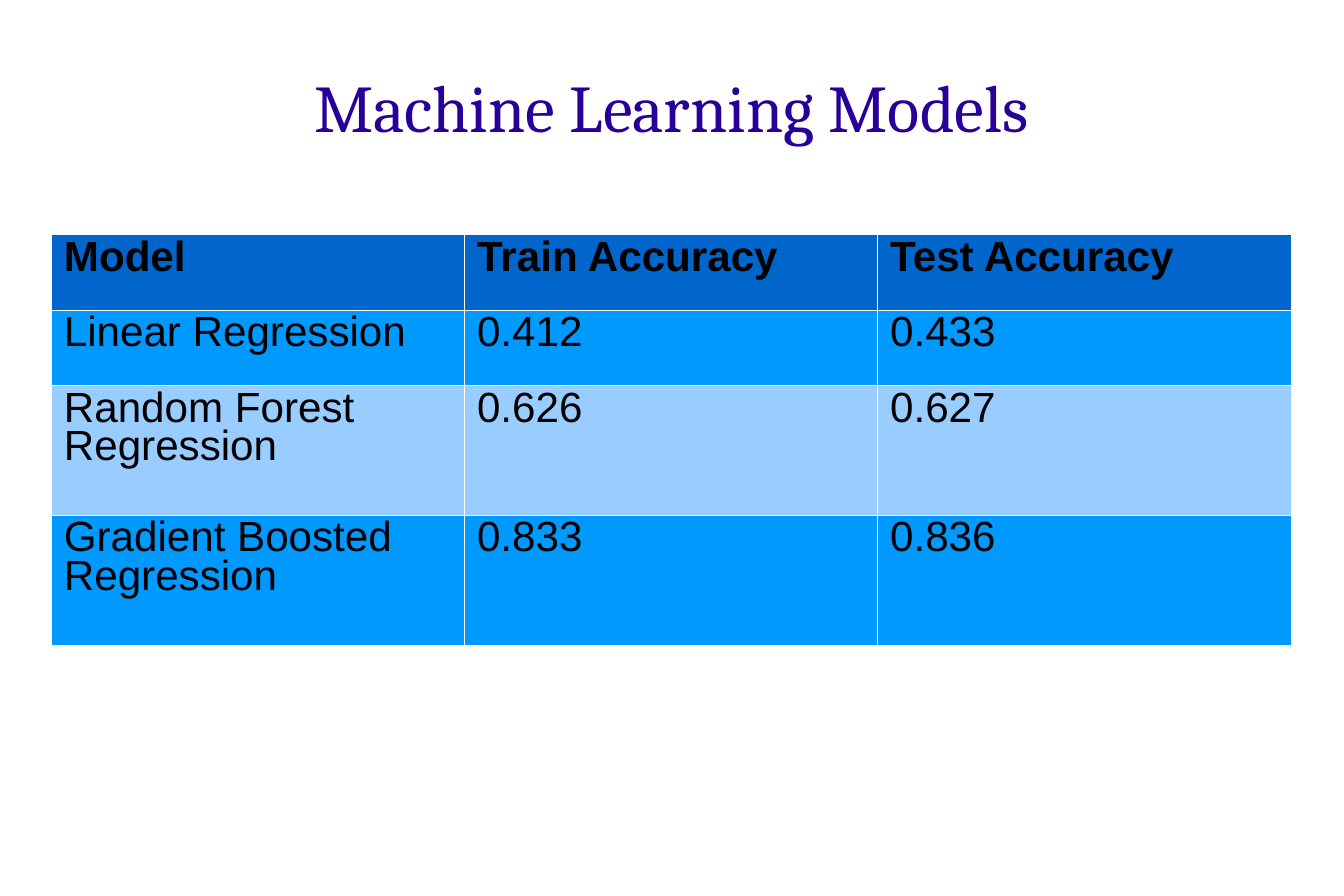
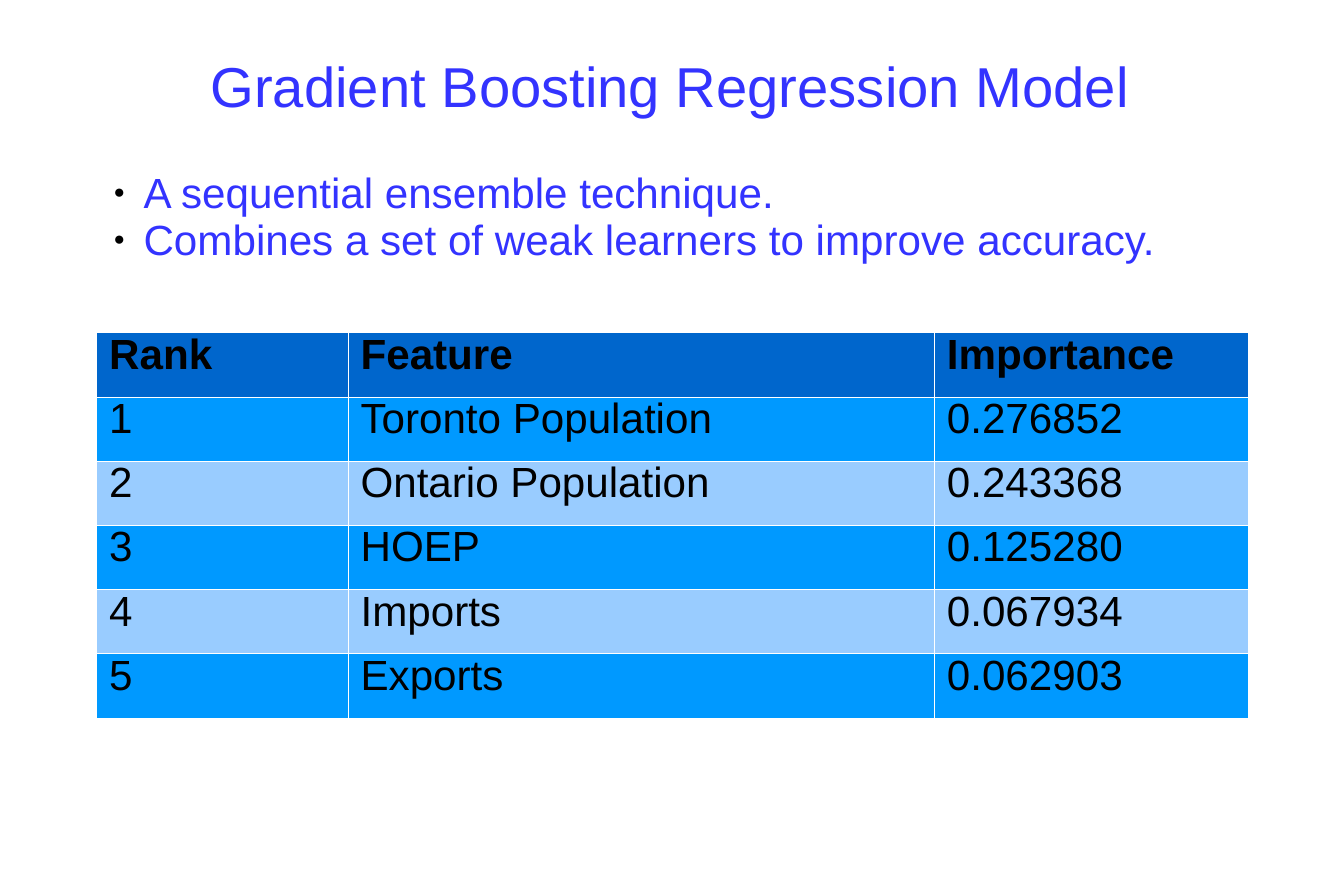
from lxml import etree
from pptx import Presentation
from pptx.dml.color import RGBColor
from pptx.enum.text import MSO_ANCHOR, MSO_AUTO_SIZE, PP_ALIGN
from pptx.oxml.ns import qn
from pptx.util import Cm, Pt

TOP, MIDDLE = MSO_ANCHOR.TOP, MSO_ANCHOR.MIDDLE
CENTER, LEFT = PP_ALIGN.CENTER, PP_ALIGN.LEFT
NO_AUTOFIT = MSO_AUTO_SIZE.NONE

TITLE_AND_CONTENT, TITLE_ONLY = 1, 5
COLORS = {
    "indigo": "280099",
    "blue": "3333FF",
    "black": "000000",
    "border": "FFFFFF",
    "header": "0066CC",
    "odd_row": "0099FF",
    "even_row": "99CCFF",
}
BORDER_WIDTH = Pt(0.06)
BULLET_INDENT = Cm(0.6)


def rgb(name):
    return RGBColor.from_string(COLORS[name])


def add_child(parent, tag, **attributes):
    return etree.SubElement(parent, qn(tag), attributes)


class Deck:
    """Holds the shared style and the slide being filled."""

    def __init__(self):
        self.presentation = Presentation()
        self.presentation.slide_width = Cm(27)
        self.presentation.slide_height = Cm(18)
        self.slide = None

    def add_slide(self, layout):
        layouts = self.presentation.slide_layouts
        self.slide = self.presentation.slides.add_slide(layouts[layout])

    def style(self, paragraph, size, color, font="Arial", bold=False,
              align=LEFT, spacing=0.93):
        paragraph.alignment = align
        paragraph.line_spacing = spacing
        paragraph.space_before = Pt(0)
        paragraph.font.name = font
        paragraph.font.size = Pt(size)
        paragraph.font.bold = bold
        paragraph.font.color.rgb = rgb(color)

    def place(self, placeholder, box, anchor=TOP):
        """Move a placeholder to box (left, top, width, height in cm)."""
        (placeholder.left, placeholder.top,
         placeholder.width, placeholder.height) = map(Cm, box)
        frame = placeholder.text_frame
        frame.auto_size = NO_AUTOFIT
        frame.vertical_anchor = anchor
        return frame

    def title(self, text, box, size, color, font="Arial", anchor=TOP):
        frame = self.place(self.slide.shapes.title, box, anchor)
        frame.text = text
        self.style(frame.paragraphs[0], size, color, font, align=CENTER)

    def bullets(self, items, box):
        frame = self.place(self.slide.placeholders[1], box)
        frame.text = "\n".join(items)
        for paragraph in frame.paragraphs:
            self.style(paragraph, 24, "blue")
            properties = paragraph._p.get_or_add_pPr()
            properties.set("marL", str(BULLET_INDENT))
            properties.set("indent", str(-BULLET_INDENT))
            color = add_child(properties, "a:buClr")
            add_child(color, "a:srgbClr", val=COLORS["black"])
            add_child(properties, "a:buSzPct", val="45000")
            add_child(properties, "a:buChar", char="●")
            # The schema wants the bullet ahead of the run defaults.
            properties.append(properties.find(qn("a:defRPr")))

    def border(self, cell):
        properties = cell._tc.get_or_add_tcPr()
        for side in ("a:lnL", "a:lnR", "a:lnT", "a:lnB"):
            line = add_child(properties, side, w=str(BORDER_WIDTH))
            fill = add_child(line, "a:solidFill")
            add_child(fill, "a:srgbClr", val=COLORS["border"])

    def table(self, rows, left, top, widths, heights):
        """Add a table with a bold header and banded rows (lengths in cm)."""
        table = self.slide.shapes.add_table(
            len(rows), len(widths), Cm(left), Cm(top),
            Cm(sum(widths)), Cm(sum(heights))).table
        for column, width in zip(table.columns, widths):
            column.width = Cm(width)
        for index, (row, values) in enumerate(zip(table.rows, rows)):
            row.height = Cm(heights[index])
            is_header = index == 0
            band = "odd_row" if index % 2 else "even_row"
            for cell, value in zip(row.cells, values):
                cell.text = value
                self.style(cell.text_frame.paragraphs[0], 24, "black",
                           bold=is_header, spacing=0.81)
                self.border(cell)
                cell.fill.solid()
                cell.fill.fore_color.rgb = rgb("header" if is_header else band)


def models_slide(deck):
    deck.add_slide(TITLE_ONLY)
    deck.title("Machine Learning Models", (1.35, 0.71, 24.28, 3), 38,
               "indigo", "Cambria", MIDDLE)
    accuracies = [
        ("Model", "Train Accuracy", "Test Accuracy"),
        ("Linear Regression", "0.412", "0.433"),
        ("Random Forest Regression", "0.626", "0.627"),
        ("Gradient Boosted Regression", "0.833", "0.836"),
    ]
    deck.table(accuracies, 1.03, 4.71, [8.3] * 3, [1.52, 1.51, 2.61, 2.61])


def boosting_slide(deck):
    deck.add_slide(TITLE_AND_CONTENT)
    deck.title("Gradient Boosting Regression Model", (2.3, 1.02, 22.33, 2.77),
               32, "blue")
    deck.bullets(["A sequential ensemble technique.",
                  "Combines a set of weak learners to improve accuracy."],
                 (2.03, 3.3, 23.11, 2.13))
    importances = [
        ("Rank", "Feature", "Importance"),
        ("1", "Toronto Population", "0.276852"),
        ("2", "Ontario Population", "0.243368"),
        ("3", "HOEP", "0.125280"),
        ("4", "Imports", "0.067934"),
        ("5", "Exports", "0.062903"),
    ]
    deck.table(importances, 1.94, 6.68, [5.05, 11.78, 6.3],
               [1.29] * len(importances))


def main():
    deck = Deck()
    models_slide(deck)
    boosting_slide(deck)
    deck.presentation.save("out.pptx")


if __name__ == "__main__":
    main()
